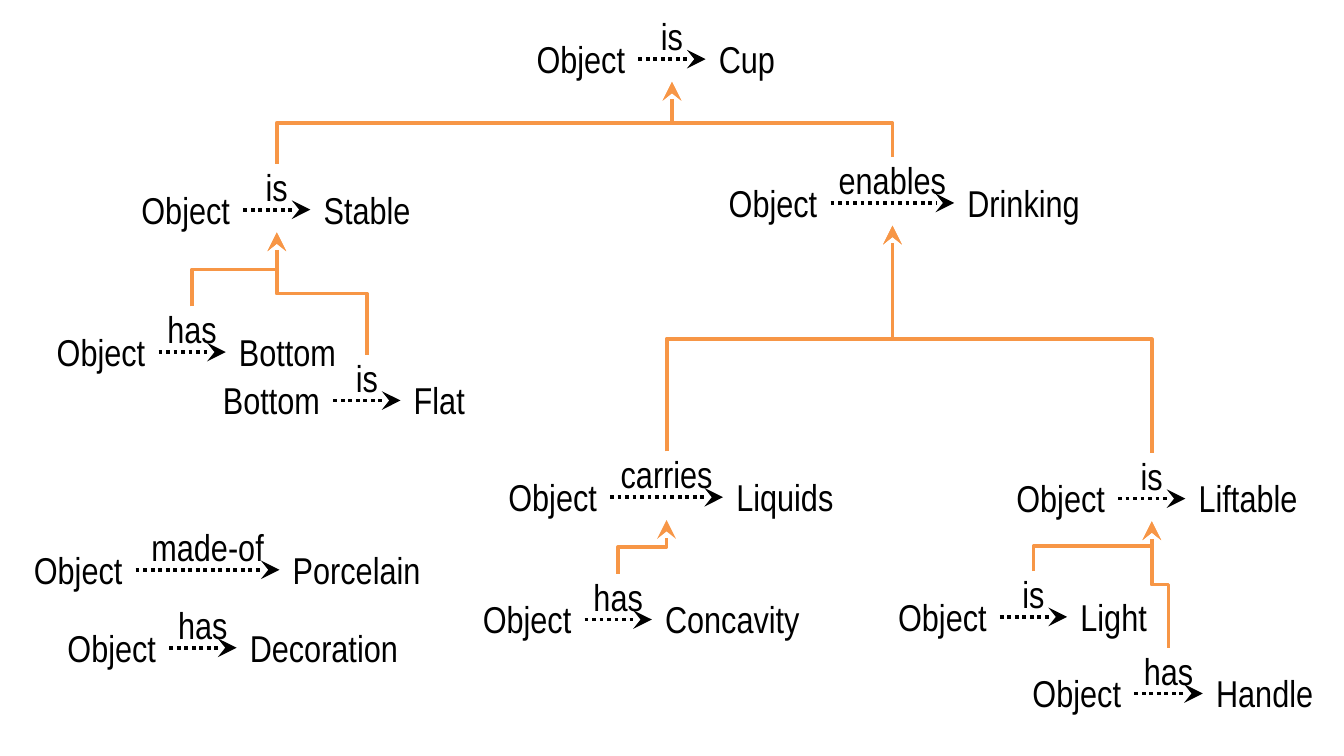
from dataclasses import dataclass

from lxml import etree
from pptx import Presentation
from pptx.dml.color import RGBColor
from pptx.enum import dml, shapes, text
from pptx.oxml.ns import qn
from pptx.util import Inches, Pt


@dataclass(frozen=True)
class Theme:
    font: str = "Arial Narrow"
    size: int = 20
    ink: str = "000000"
    support: str = "F79646"
    line: float = 2


@dataclass(frozen=True)
class Relation:
    """A subject-verb-object triple; left, top and width box the verb."""
    subject: str
    verb: str
    target: str
    left: float
    top: float
    width: float = 0.5
    subject_width: float = 1.05
    target_width: float = 1.05
    bend: float = 0.5
    reasons: tuple = ()

    @property
    def center(self):
        return self.left + self.width / 2


THEME = Theme()
VERB_HEIGHT = 0.51
TERM_HEIGHT = 0.44
TERM_DROP = 0.12
ARROW_DROP = 0.34

CUP = Relation("Object", "is", "Cup", 4.75, 0.1, target_width=0.67, reasons=(
    Relation("Object", "is", "Stable", 1.81, 1.22, target_width=1.13, reasons=(
        Relation("Object", "has", "Bottom", 1.18, 2.28, target_width=1.13),
        Relation("Bottom", "is", "Flat", 2.48, 2.64, subject_width=1.15, target_width=0.71),
    )),
    Relation("Object", "enables", "Drinking", 6.18, 1.17, 0.92, target_width=1.26, bend=0.45, reasons=(
        Relation("Object", "carries", "Liquids", 4.54, 3.36, 0.84, reasons=(
            Relation("Object", "has", "Concavity", 4.35, 4.27, target_width=1.43),
        )),
        Relation("Object", "is", "Liftable", 8.32, 3.37, target_width=1.09, reasons=(
            Relation("Object", "is", "Light", 7.44, 4.25, target_width=1.09),
            Relation("Object", "has", "Handle", 8.44, 4.82, 0.51),
        )),
    )),
))
UNUSED_FACTS = (
    Relation("Object", "made-of", "Porcelain", 1.01, 3.9, 1.07, subject_width=1.01, target_width=1.26),
    Relation("Object", "has", "Decoration", 1.26, 4.48, target_width=1.49),
)


def add_label(slide, words, left, top, width, height, align, margin=None):
    label = slide.shapes.add_textbox(Inches(left), Inches(top), Inches(width), Inches(height))
    frame = label.text_frame
    frame.word_wrap = True
    if margin is not None:
        frame.margin_left = frame.margin_right = Inches(margin)
        frame.margin_top = frame.margin_bottom = Inches(margin)
    paragraph = frame.paragraphs[0]
    paragraph.text = words
    paragraph.alignment = align
    paragraph.font.name = THEME.font
    paragraph.font.size = Pt(THEME.size)
    paragraph.font.color.rgb = RGBColor.from_string(THEME.ink)


def add_arrow(slide, kind, start, end, color):
    arrow = slide.shapes.add_connector(kind, *map(Inches, (*start, *end)))
    arrow.line.color.rgb = RGBColor.from_string(color)
    arrow.line.width = Pt(THEME.line)
    outline = arrow.line._get_or_add_ln()
    etree.SubElement(outline, qn("a:tailEnd"), type="stealth", w="lg", len="lg")
    etree.SubElement(arrow._element.spPr, qn("a:effectLst"))
    return arrow


def add_support(slide, reason, claim):
    """Draw a bent arrow that leaves the reason upwards and ends under the claim."""
    bottom, tip = reason.top, claim.top + VERB_HEIGHT
    middle_x, middle_y = (reason.center + claim.center) / 2, (bottom + tip) / 2
    half_rise = (bottom - tip) / 2
    half_run = abs(claim.center - reason.center) / 2
    # An elbow starts sideways, so it is laid flat and then turned a quarter.
    goes_right = claim.center > reason.center
    side = half_rise if goes_right else -half_rise
    arrow = add_arrow(slide, shapes.MSO_CONNECTOR.ELBOW,
                      (middle_x + side, middle_y + half_run),
                      (middle_x - side, middle_y - half_run), THEME.support)
    properties = arrow._element.spPr
    properties.find(qn("a:xfrm")).set("rot", str((90 if goes_right else 270) * 60000))
    guides = properties.find(qn("a:prstGeom")).find(qn("a:avLst"))
    etree.SubElement(guides, qn("a:gd"), name="adj1", fmla=f"val {round(reason.bend * 100000)}")


def add_relation(slide, relation):
    left, top, width = relation.left, relation.top, relation.width
    right, term_top, arrow_y = left + width, top + TERM_DROP, top + ARROW_DROP
    add_label(slide, relation.subject, left - relation.subject_width, term_top,
              relation.subject_width, TERM_HEIGHT, text.PP_ALIGN.RIGHT)
    add_label(slide, relation.target, right, term_top,
              relation.target_width, TERM_HEIGHT, text.PP_ALIGN.LEFT)
    arrow = add_arrow(slide, shapes.MSO_CONNECTOR.STRAIGHT,
                      (left, arrow_y), (right, arrow_y), THEME.ink)
    arrow.line.dash_style = dml.MSO_LINE.ROUND_DOT
    add_label(slide, relation.verb, left, top, width, VERB_HEIGHT,
              text.PP_ALIGN.CENTER, margin=0)


def add_proof(slide, claim):
    """Draw a claim and, below it, the tree of reasons that support it."""
    add_relation(slide, claim)
    for reason in claim.reasons:
        add_proof(slide, reason)
        add_support(slide, reason, claim)


def main():
    deck = Presentation()
    deck.slide_width = Inches(10)
    deck.slide_height = deck.slide_width * 9 // 16
    slide = deck.slides.add_slide(deck.slide_layouts[6])
    add_proof(slide, CUP)
    for fact in UNUSED_FACTS:
        add_relation(slide, fact)
    deck.save("out.pptx")


if __name__ == "__main__":
    main()
